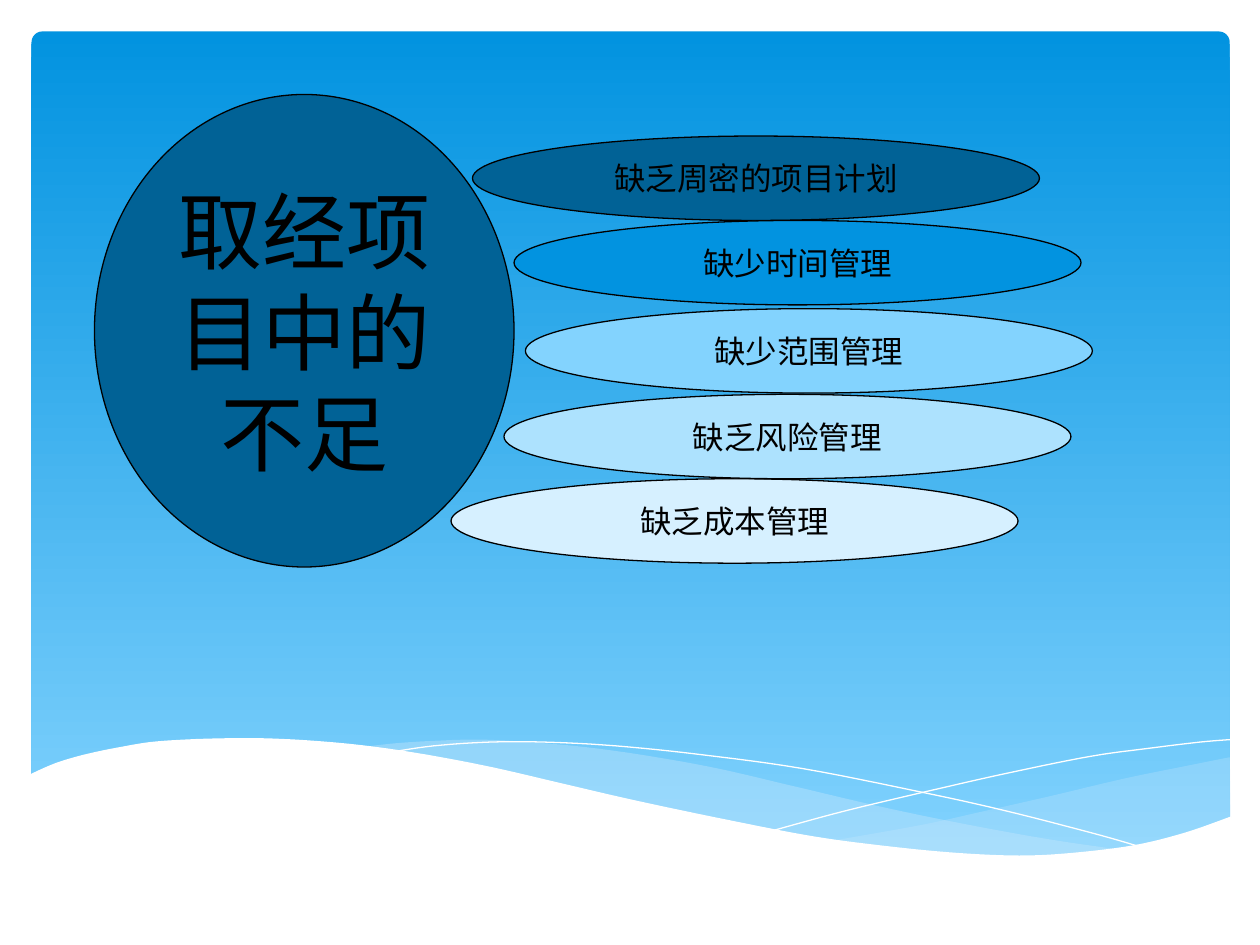
from dataclasses import dataclass

from lxml import etree
from pptx import Presentation
from pptx.dml.color import RGBColor
from pptx.enum.shapes import MSO_SHAPE
from pptx.enum.text import MSO_ANCHOR, PP_ALIGN
from pptx.oxml.ns import qn
from pptx.util import Emu, Pt

ELLIPSE = MSO_SHAPE.OVAL
ROUNDED = MSO_SHAPE.ROUNDED_RECTANGLE
CENTER = PP_ALIGN.CENTER
MIDDLE = MSO_ANCHOR.MIDDLE
PX = 9144
CURVE_STEPS = 6


@dataclass(frozen=True)
class Theme:
    font: str = "Arial"
    ink: str = "000000"
    white: str = "FFFFFF"
    deep: str = "016296"
    sky: str = "0293E0"
    light: str = "83D3FE"
    pale: str = "ADE2FE"
    mist: str = "D6F0FF"
    wave: str = "C6E7FC"
    topic_size: int = 48
    item_size: int = 18
    outline: float = 0.75


THEME = Theme()

TOPIC = ("取经项目中的不足", (75, 75, 333, 375), THEME.deep, THEME.topic_size)
ITEM_SIZE = (450, 67)
SHORTCOMINGS = [
    ("缺乏周密的项目计划", 375, 108, THEME.deep),
    ("缺少时间管理", 408, 175, THEME.sky),
    ("缺乏成本管理", 358, 380, THEME.mist),
    ("缺少范围管理", 417, 245, THEME.light),
    ("缺乏风险管理", 400, 313, THEME.pale),
]

RIGHT_WAVE = [
    [(976, 601), (936, 609), (892, 618), (833, 632), (780, 644), (730, 655), (662, 667)],
    [(662, 667), (706, 673), (758, 678), (804, 680), (855, 678), (898, 672), (937, 663), (977, 649)],
]
CENTRAL_WAVE = [
    [(894, 675), (838, 667), (776, 656), (707, 642), (630, 624), (570, 610), (515, 600),
     (465, 593), (420, 589), (380, 587), (344, 588), (313, 590), (287, 593)],
    [(287, 593), (343, 601), (405, 613), (450, 624), (530, 642), (602, 657), (666, 668),
     (723, 676), (774, 679), (819, 680), (858, 679), (894, 675)],
]
FALLING_LINE = [(310, 597), (344, 592), (388, 589), (433, 589), (489, 592), (557, 599),
                (637, 610), (728, 628), (796, 643), (870, 662), (908, 673)]
RISING_LINE = [(614, 659), (673, 643), (749, 625), (807, 612), (867, 600), (911, 594),
               (952, 589), (976, 587)]
FOREGROUND = [
    [(977, 648), (940, 661), (899, 671), (850, 677), (809, 679), (761, 677), (708, 672),
     (647, 664), (579, 651), (503, 635), (447, 622), (391, 609), (339, 599), (292, 592),
     (250, 588), (211, 586), (176, 586), (146, 587), (119, 589), (95, 593), (75, 597),
     (59, 601), (46, 605), (36, 609), (23, 615)],
    [(23, 731), (977, 731)],
]


def px(value):
    return Emu(round(value * PX))


def color(value):
    return RGBColor.from_string(value)


def smooth(knots):
    if len(knots) < 3:
        return knots
    padded = [knots[0], *knots, knots[-1]]
    points = [knots[0]]
    for a, b, c, d in zip(padded, padded[1:], padded[2:], padded[3:]):
        for step in range(1, CURVE_STEPS + 1):
            t = step / CURVE_STEPS
            points.append(tuple(
                q + t * ((r - p) + t * ((2 * p - 5 * q + 4 * r - s) + t * (3 * q - p - 3 * r + s))) / 2
                for p, q, r, s in zip(a, b, c, d)
            ))
    return points


def build_outline(slide, edges, close):
    start, *rest = [(px(x), px(y)) for edge in edges for x, y in smooth(edge)]
    builder = slide.shapes.build_freeform(*start)
    builder.add_line_segments(rest, close=close)
    outline = builder.convert_to_shape()
    outline.shadow.inherit = False
    return outline


def add_wave(slide, edges, fill, opacity=100):
    wave = build_outline(slide, edges, True)
    wave.fill.solid()
    wave.fill.fore_color.rgb = color(fill)
    wave.line.fill.background()
    if opacity < 100:
        tint = wave.fill._xPr.find(".//" + qn("a:srgbClr"))
        etree.SubElement(tint, qn("a:alpha"), val=str(opacity * 1000))


def add_hairline(slide, knots):
    hairline = build_outline(slide, [knots], False)
    hairline.fill.background()
    hairline.line.color.rgb = color(THEME.white)
    hairline.line.width = Pt(0)


def add_backdrop(slide):
    backdrop = slide.shapes.add_shape(ROUNDED, *map(px, (25, 25, 951, 660)))
    backdrop.adjustments[0] = 0.013
    backdrop.shadow.inherit = False
    backdrop.line.fill.background()
    backdrop.fill.gradient()
    backdrop.fill.gradient_angle = 270
    for stop, position, shade in zip(backdrop.fill.gradient_stops, (0, 1), (THEME.sky, THEME.light)):
        stop.position = position
        stop.color.rgb = color(shade)


def add_bubble(slide, text, box, fill, size):
    bubble = slide.shapes.add_shape(ELLIPSE, *map(px, box))
    bubble.shadow.inherit = False
    bubble.fill.solid()
    bubble.fill.fore_color.rgb = color(fill)
    bubble.line.color.rgb = color(THEME.ink)
    frame = bubble.text_frame
    frame.text = text
    paragraph = frame.paragraphs[0]
    font = paragraph.runs[0].font
    font.color.rgb = color(THEME.ink)
    formats = [
        (bubble.line, {"width": Pt(THEME.outline)}),
        (frame, {"word_wrap": True, "vertical_anchor": MIDDLE}),
        (paragraph, {"alignment": CENTER}),
        (font, {"name": THEME.font, "size": Pt(size)}),
    ]
    for target, values in formats:
        for name, value in values.items():
            setattr(target, name, value)


def main():
    deck = Presentation()
    deck.slide_width, deck.slide_height = px(1000), px(750)
    slide = deck.slides.add_slide(deck.slide_layouts[6])
    add_backdrop(slide)
    add_wave(slide, RIGHT_WAVE, THEME.wave, 29)
    add_wave(slide, CENTRAL_WAVE, THEME.wave, 40)
    add_hairline(slide, FALLING_LINE)
    add_hairline(slide, RISING_LINE)
    add_wave(slide, FOREGROUND, THEME.white)
    for text, left, top, fill in SHORTCOMINGS:
        add_bubble(slide, text, (left, top, *ITEM_SIZE), fill, THEME.item_size)
    add_bubble(slide, *TOPIC)
    deck.save("out.pptx")


if __name__ == "__main__":
    main()
